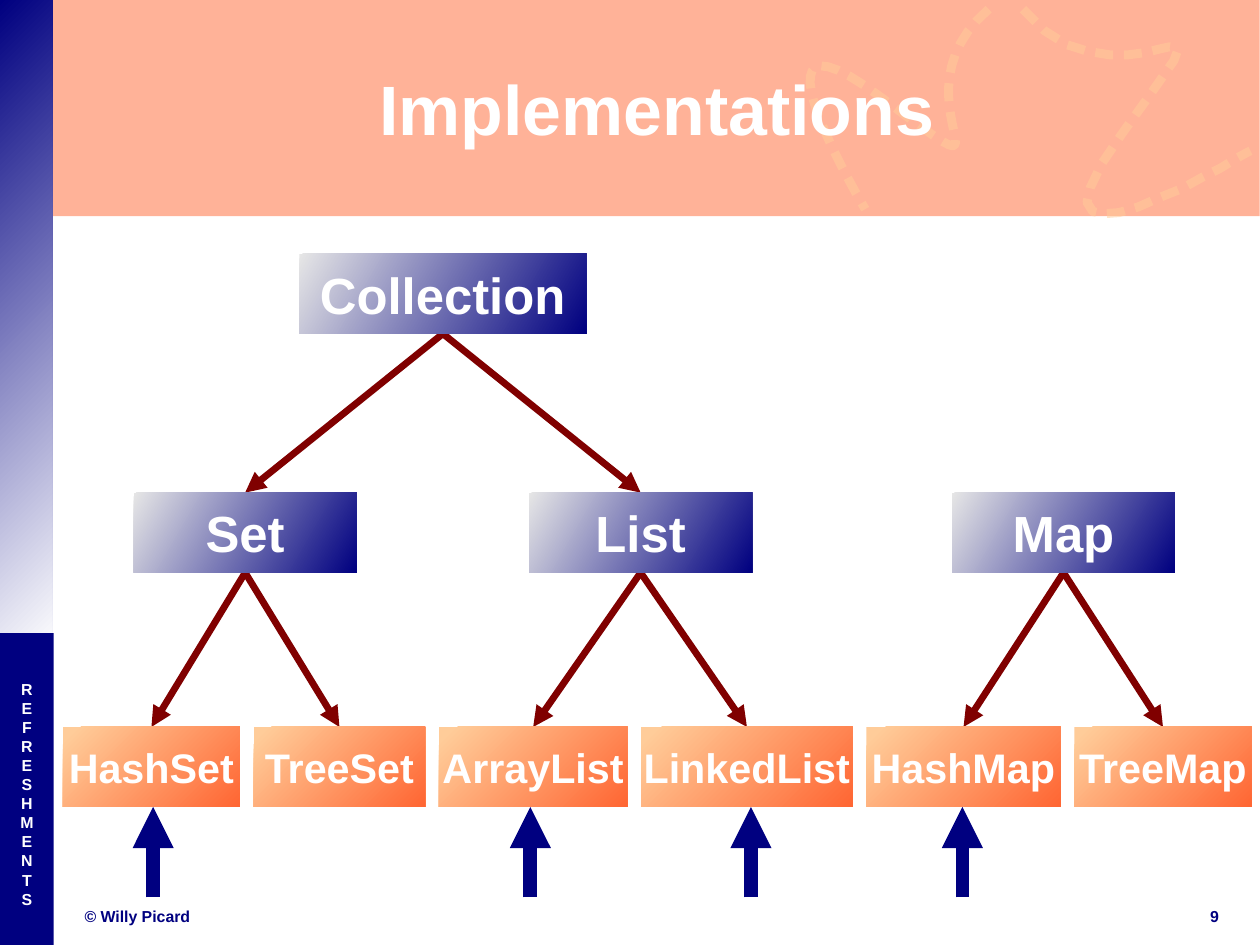
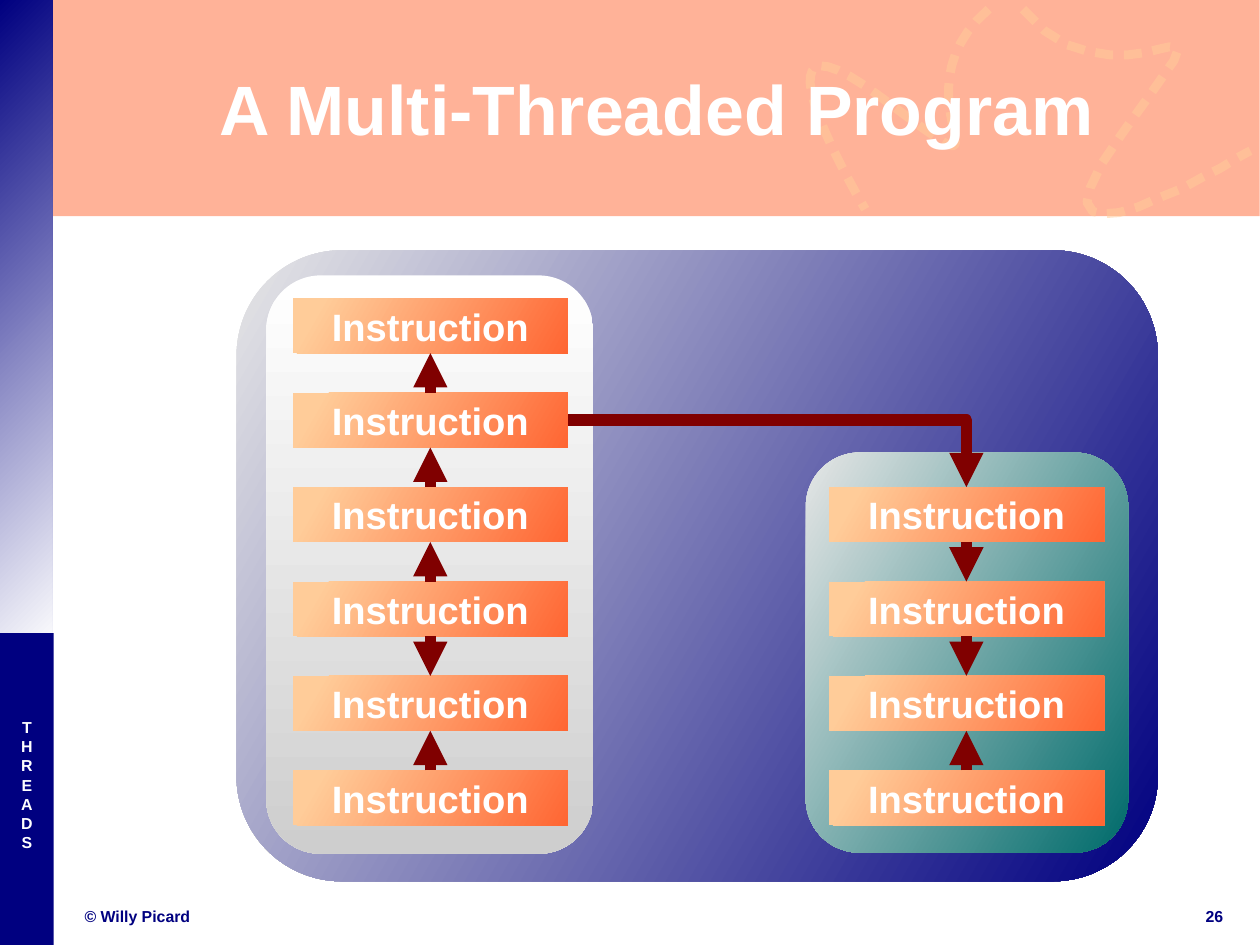
from lxml import etree
from pptx import Presentation
from pptx.dml.color import RGBColor
from pptx.enum.shapes import MSO_CONNECTOR as Cxn, MSO_SHAPE as Shape
from pptx.enum.text import MSO_ANCHOR as Anchor, PP_ALIGN as Align
from pptx.oxml.ns import qn
from pptx.util import Inches, Mm, Pt

rgb = RGBColor.from_string
WHITE, NAVY, MAROON, ORANGE, PEACH, GREY = (
    "FFFFFF", "000080", "800000", "FF6633", "FFCC99", "E6E6E6")
HALF = {"val": "50000"}
BLUE_FADE = (GREY, NAVY, 30, 0)
LEAF_FADE = (PEACH, ORANGE, 45, 0.05)
STEP_FADE = (PEACH, ORANGE, 30, 0.1)


def box(s, at, fill=None, text="", size=10, color=WHITE, align=Align.CENTER,
        kind=Shape.RECTANGLE):
    """Fill is a hex colour, (from, to, clockwise angle, first stop), or None for a text box."""
    at = [Inches(v) for v in at]
    if fill is None:
        sp = s.shapes.add_textbox(*at)
    else:
        sp = s.shapes.add_shape(kind, *at)
        sp.shadow.inherit = False
        sp.line.fill.background()
        if isinstance(fill, str):
            sp.fill.solid()
            sp.fill.fore_color.rgb = rgb(fill)
        else:
            start, end, angle, first = fill
            sp.fill.gradient()
            sp.fill.gradient_angle = 360 - angle
            for stop, c, pos in zip(sp.fill.gradient_stops, (start, end), (first, 1)):
                stop.color.rgb = rgb(c)
                stop.position = pos
    if text:
        tf = sp.text_frame
        layout = {"word_wrap": True, "vertical_anchor": Anchor.MIDDLE, "margin_left": 0,
                  "margin_top": 0, "margin_right": 0, "margin_bottom": 0}
        for name, value in layout.items():
            setattr(tf, name, value)
        tf.text = text
        for p in tf.paragraphs:
            p.alignment = align
            font = p.runs[0].font
            for name, value in {"name": "Arial", "size": Pt(size), "bold": True}.items():
                setattr(font, name, value)
            font.color.rgb = rgb(color)
    return sp


def arrow(s, color, width, ends=(0, 0, 0, 0), links=None, kind=Cxn.STRAIGHT):
    """Links are (shape, site, shape, site) and take the place of ends."""
    cxn = s.shapes.add_connector(kind, *[Inches(v) for v in ends])
    if links:
        cxn.begin_connect(*links[:2])
        cxn.end_connect(*links[2:])
    cxn.line.color.rgb = rgb(color)
    cxn.line.width = Pt(width)
    etree.SubElement(cxn.line._get_or_add_ln(), qn("a:tailEnd"), {"type": "triangle"})
    etree.SubElement(cxn._element.spPr, qn("a:effectLst"))
    return cxn


# Dashed curves of the title band
loop = [(8.65, 0.08)]
for c in (((8.65, 0.08), (7.74, 0.86), (9.05, 1.85), (7.72, 0.86)),
          ((7.72, 0.86), (6.39, -0.14), (7.57, 1.83), (7.57, 1.83))):
    for t in [i / 24 for i in range(1, 25)]:
        weights = ((1 - t) ** 3, 3 * t * (1 - t) ** 2, 3 * t * t * (1 - t), t ** 3)
        loop.append(tuple(sum(w * pt[k] for w, pt in zip(weights, c)) for k in (0, 1)))
wave = [(8.95, 0.08), (9.14, 0.27), (9.33, 0.39), (9.52, 0.45), (9.71, 0.48), (9.87, 0.48),
        (10.02, 0.46), (10.14, 0.43), (10.23, 0.41), (10.29, 0.42), (10.3, 0.45),
        (10.27, 0.53), (10.18, 0.66), (10.04, 0.86), (9.83, 1.15), (9.64, 1.43),
        (9.54, 1.64), (9.51, 1.77), (9.56, 1.85), (9.65, 1.87), (9.79, 1.86),
        (9.96, 1.81), (10.14, 1.73), (10.34, 1.65), (10.52, 1.55), (10.68, 1.47),
        (10.81, 1.39), (10.9, 1.34), (10.94, 1.32)]

prs = Presentation()
prs.slide_width, prs.slide_height = Mm(280), Mm(210)

# Frame shared by the slides
slides = []
for title, section, section_top, number in (
        ("Implementations", "REFRESHMENTS", 5.62, "9"),
        ("A Multi-Threaded Program", "THREADS", 5.54, "26")):
    s = prs.slides.add_slide(prs.slide_layouts[6])
    slides.append(s)
    band = box(s, (0, 0, 11.02, 1.89), ORANGE)
    etree.SubElement(band._element.spPr.find(".//" + qn("a:srgbClr")), qn("a:alpha"), HALF)
    box(s, (0, 0, 0.46, 5.72), (NAVY, WHITE, 45, 0))
    box(s, (0, 5.54, 0.47, 2.73), NAVY)
    for curve in (loop, wave):
        points = [(Inches(x), Inches(y)) for x, y in curve]
        builder = s.shapes.build_freeform(*points[0])
        builder.add_line_segments(points[1:], close=False)
        sp = builder.convert_to_shape()
        sp.shadow.inherit = False
        sp.fill.background()
        sp.line.color.rgb = rgb(PEACH)
        sp.line.width = Pt(5.67)
        ln = sp.line._get_or_add_ln()
        etree.SubElement(ln.find(".//" + qn("a:srgbClr")), qn("a:alpha"), HALF)
        dash = etree.SubElement(ln, qn("a:custDash"))
        etree.SubElement(dash, qn("a:ds"), {"d": "200000", "sp": "120000"})
    box(s, (0.74, 7.92, 4.47, 0.19), None, "© Willy Picard", 10, NAVY, Align.LEFT)
    box(s, (10.46, 7.92, 0.33, 0.19), None, number, 10, NAVY)
    box(s, (0, section_top, 0.47, 2.65), None, "\n".join(section))
    box(s, (0.48, 0.25, 10.54, 1.38), None, title, 44)

# Implementations: tree of interfaces and classes
s = slides[0]
nodes = {"Collection": box(s, (2.62, 2.22, 2.51, 0.7), BLUE_FADE, "Collection", 32)}
for name, x in (("Set", 1.17), ("List", 4.63), ("Map", 8.33)):
    nodes[name] = box(s, (x, 4.31, 1.95, 0.7), BLUE_FADE, name, 32)
x = 0.55
for name, w in (("HashSet", 1.55), ("TreeSet", 1.5), ("ArrayList", 1.65),
                ("LinkedList", 1.85), ("HashMap", 1.7), ("TreeMap", 1.55)):
    nodes[name] = box(s, (x, 6.36, w, 0.7), LEAF_FADE, name, 26)
    x += w + 0.12
for parent, children in {"Collection": ("Set", "List"), "Set": ("HashSet", "TreeSet"),
                         "List": ("ArrayList", "LinkedList"),
                         "Map": ("HashMap", "TreeMap")}.items():
    for child in children:
        branch = arrow(s, MAROON, 4.31, links=(nodes[parent], 2, nodes[child], 0))
        s.shapes._spTree.insert(2, branch._element)  # behind the boxes
for x in (1.34, 4.64, 6.57, 8.42):
    arrow(s, NAVY, 8.65, (x, 7.85, x, 7.06))

# A Multi-Threaded Program: two threads of instructions
s = slides[1]
for at, fade in (((2.07, 2.19, 8.06, 5.52), BLUE_FADE),
                 ((7.05, 3.96, 2.82, 3.5), (GREY, "006B6B", 30, 0)),
                 ((2.33, 2.41, 2.86, 5.06), (WHITE, "CECECE", 90, 0))):
    box(s, at, fade, kind=Shape.ROUNDED_RECTANGLE)
top, bottom, rows = 2.61, 6.74, 6
pitch = (bottom - top) / (rows - 1)
main, second = [
    {row: box(s, (x, top + row * pitch, 2.41, 0.48), STEP_FADE, "Instruction", 24)
     for row in range(first, rows)}
    for x, first in ((2.56, 0), (7.25, 2))]
for thread, jumps in ((main, ((2, 1), (1, 0), (3, 2), (3, 4), (5, 4))),
                      (second, ((2, 3), (3, 4), (5, 4)))):
    for a, b in jumps:
        out, into = (2, 0) if b > a else (0, 2)
        arrow(s, MAROON, 7.2, links=(thread[a], out, thread[b], into))
start = arrow(s, MAROON, 7.2, links=(main[1], 3, second[2], 0), kind=Cxn.ELBOW)
start._element.spPr.find(qn("a:prstGeom")).set("prst", "bentConnector2")

prs.save("out.pptx")
